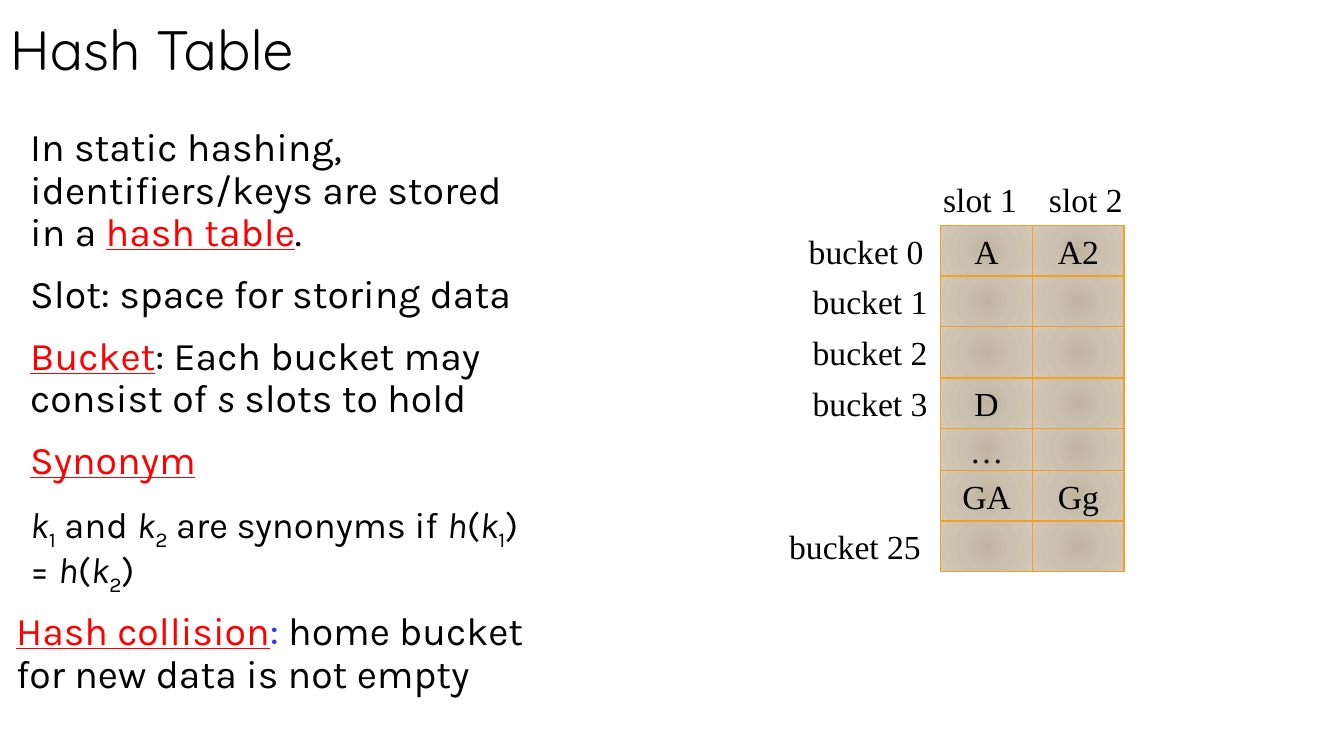
"""Build the hash table slide: definitions on the left, bucket grid on the right."""
import pptx
import pptx.dml.color
import pptx.enum.shapes
import pptx.enum.text
import pptx.oxml
import pptx.oxml.ns
import pptx.util

Inches = pptx.util.Inches
Pt = pptx.util.Pt
ALIGN = pptx.enum.text.PP_ALIGN
ANCHOR = pptx.enum.text.MSO_ANCHOR

BLACK, RED, BLUE, ORANGE = "000000", "FF0000", "3333FF", "F59F26"
GRADIENT = [(0, "C0B39F"), (45, "CBBFAF"), (100, "D3C8B5")]
GRID_LEFT, GRID_TOP, SLOT_WIDTH = 9.33, 2.24, 0.91
SLOT_LABELS = [("slot 1", 9.19), ("slot 2", 10.24)]
BUCKETS = [
    ("bucket 0", 7.85, 0.5, ["A", "A2"]),
    ("bucket 1", 7.93, 0.5, ["", ""]),
    ("bucket 2", 7.93, 0.51, ["", ""]),
    ("bucket 3", 7.93, 0.5, ["D", ""]),
    ("", 7.93, 0.42, ["…", ""]),
    ("", 7.93, 0.5, ["GA", "Gg"]),
    ("bucket 25", 7.63, 0.5, ["", ""]),
]
DEFINITIONS = [
    (28, 0.3, [("In static hashing, identifiers/keys are stored in a ", ""),
               ("hash table", "term"), (".", "")]),
    (28, 0.3, [("Slot: space for storing data", "")]),
    (28, 0.3, [("Bucket", "term"), (": Each bucket may consist of ", ""),
               ("s", "italic"), (" slots to hold", "")]),
    (28, 0.3, [("Synonym", "term")]),
    (26, 0.3, [("k", "italic"), ("1", "sub"), (" and ", ""), ("k", "italic"),
               ("2", "sub"), (" are synonyms if ", ""), ("h", "italic"),
               ("(", ""), ("k", "italic"), ("1", "sub"), (") = ", ""),
               ("h", "italic"), ("(", ""), ("k", "italic"), ("2", "sub"),
               (")", "")]),
    (28, 0.16, [("Hash collision", "term"), (": ", "blue"),
                ("home bucket for new data is not empty", "")]),
]


def rgb(hex_colour):
    """Turn a hex string into a colour."""
    return pptx.dml.color.RGBColor.from_string(hex_colour)


def set_font(font, name, size, colour=BLACK):
    """Set typeface, size and colour of a font."""
    font.name = name
    font.size = Pt(size)
    font.color.rgb = rgb(colour)


def add_text_box(slide, left, top, width, height, side=0.1, bottom=0.05):
    """Add an empty wrapping text box and return its frame."""
    box = slide.shapes.add_textbox(
        Inches(left), Inches(top), Inches(width), Inches(height))
    frame = box.text_frame
    frame.word_wrap = True
    frame.margin_left = frame.margin_right = Inches(side)
    frame.margin_top, frame.margin_bottom = Inches(0.05), Inches(bottom)
    return frame


def add_title(slide, text):
    """Add the slide title."""
    frame = add_text_box(slide, 0, 0.3, 9, 0.61, bottom=0.1)
    frame.vertical_anchor = ANCHOR.BOTTOM
    title = frame.paragraphs[0]
    title.text = text
    title.line_spacing = 0.85
    set_font(title.font, "Quicksand", 39.6)


def style_run(run, style):
    """Apply a named emphasis to one run."""
    if style == "term":
        run.font.color.rgb = rgb(RED)
        run.font.underline = True
    elif style == "blue":
        run.font.color.rgb = rgb(BLUE)
    elif style == "italic":
        run.font.italic = True
    elif style == "sub":
        run.font._element.set("baseline", "-25000")


def add_definitions(slide):
    """Add the column of definitions."""
    frame = add_text_box(slide, 0, 1.22, 5.35, 5.78, side=0)
    for index, (size, indent, pieces) in enumerate(DEFINITIONS):
        definition = frame.add_paragraph() if index else frame.paragraphs[0]
        definition.line_spacing = 0.9
        definition.space_before = Pt(14 if index else 0)
        definition._p.get_or_add_pPr().set("marL", str(Inches(indent)))
        set_font(definition.font, "Karla", size)
        for text, style in pieces:
            run = definition.add_run()
            run.text = text
            style_run(run, style)


def write_centred(frame, text):
    """Write one centred line of grid text."""
    line = frame.paragraphs[0]
    line.text = text
    line.alignment = ALIGN.CENTER
    set_font(line.font, "Times New Roman", 24)


def add_label(slide, text, left, top, width):
    """Add a slot or bucket label."""
    write_centred(add_text_box(slide, left, top, width, 0.5), text)


def fill_radial(shape):
    """Fill a shape with the gradient running out from its centre."""
    stops = "".join(
        f'<a:gs pos="{percent * 1000}"><a:srgbClr val="{colour}"/></a:gs>'
        for percent, colour in GRADIENT)
    shape.fill.background()
    no_fill = shape._element.spPr.find(pptx.oxml.ns.qn("a:noFill"))
    no_fill.getparent().replace(no_fill, pptx.oxml.parse_xml(
        f'<a:gradFill {pptx.oxml.ns.nsdecls("a")}><a:gsLst>{stops}</a:gsLst>'
        '<a:path path="circle"><a:fillToRect l="50000" t="50000" '
        'r="50000" b="50000"/></a:path></a:gradFill>'))


def add_slot(slide, text, left, top, height):
    """Add one slot of the hash table."""
    slot = slide.shapes.add_shape(
        pptx.enum.shapes.MSO_SHAPE.RECTANGLE,
        Inches(left), Inches(top), Inches(SLOT_WIDTH), Inches(height))
    slot.shadow.inherit = False
    fill_radial(slot)
    slot.line.color.rgb = rgb(ORANGE)
    slot.line.width = Pt(1)
    if text:
        slot.text_frame.vertical_anchor = ANCHOR.MIDDLE
        write_centred(slot.text_frame, text)


def add_hash_table(slide):
    """Add the grid of buckets and slots with its labels."""
    for text, left in SLOT_LABELS:
        add_label(slide, text, left, 1.73, 1.06)
    top = GRID_TOP
    for label, label_left, height, slots in BUCKETS:
        if label:
            add_label(slide, label, label_left, top, GRID_LEFT - label_left)
        for column, text in enumerate(slots):
            add_slot(slide, text, GRID_LEFT + column * SLOT_WIDTH, top, height)
        top += height


def main():
    """Build and save the slide."""
    deck = pptx.Presentation()
    deck.slide_width, deck.slide_height = Inches(13.33), Inches(7.5)
    slide = deck.slides.add_slide(deck.slide_layouts[6])
    add_title(slide, "Hash Table")
    add_definitions(slide)
    add_hash_table(slide)
    deck.save("out.pptx")


if __name__ == "__main__":
    main()
